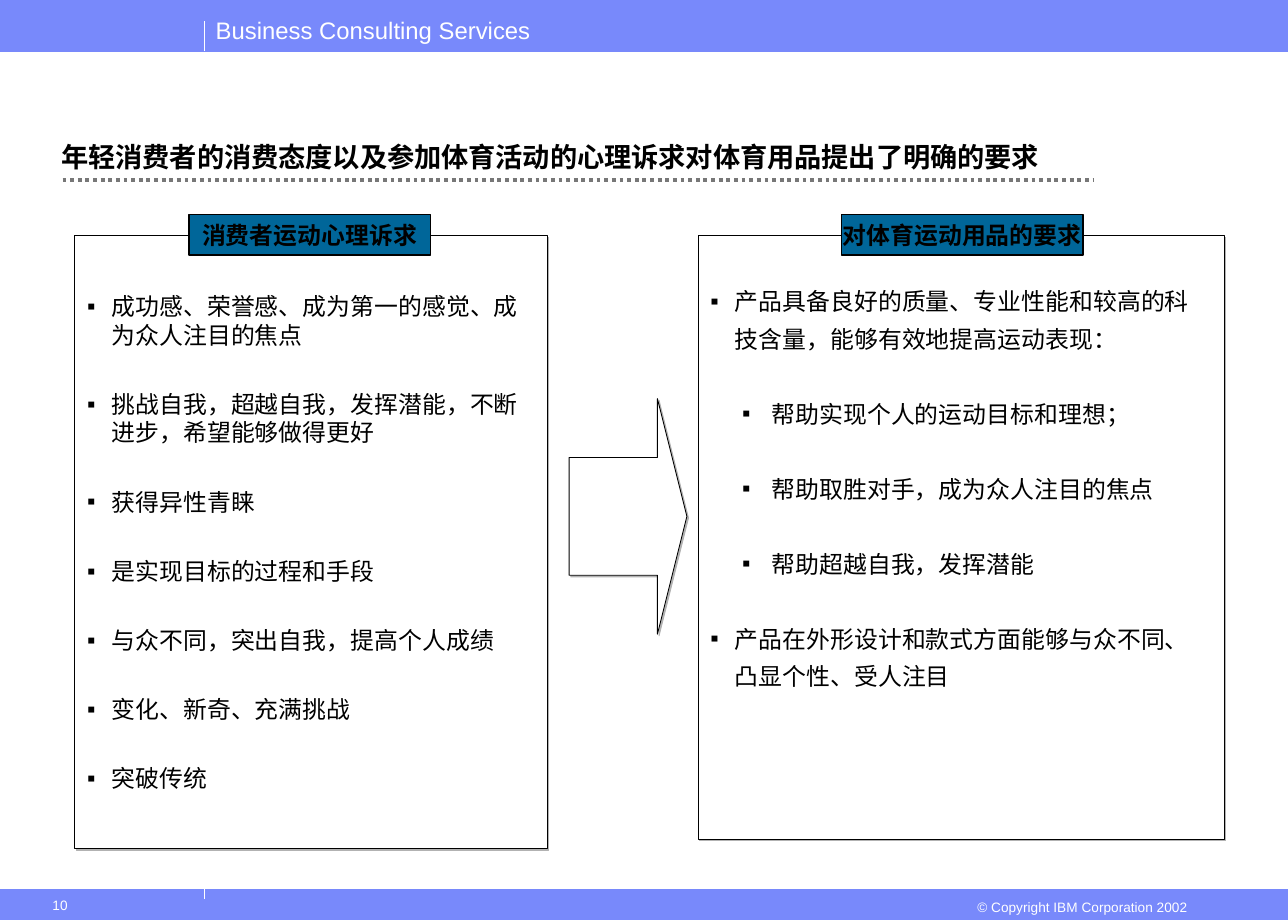
"""Build the slide on what young consumers' attitudes demand of sports goods."""
import dataclasses
import typing

import lxml.etree
import pptx
import pptx.dml.color
import pptx.enum.dml
import pptx.enum.shapes
import pptx.enum.text
import pptx.oxml.ns
import pptx.util

Inches = pptx.util.Inches
Pt = pptx.util.Pt
RGBColor = pptx.dml.color.RGBColor
Align = pptx.enum.text.PP_ALIGN
Anchor = pptx.enum.text.MSO_ANCHOR
Shapes = pptx.enum.shapes.MSO_SHAPE
qn = pptx.oxml.ns.qn

BLACK = RGBColor(0x00, 0x00, 0x00)
WHITE = RGBColor(0xFF, 0xFF, 0xFF)
GREY = RGBColor(0x77, 0x77, 0x77)
BAND_BLUE = RGBColor(0x78, 0x89, 0xFB)
TAG_BLUE = RGBColor(0x00, 0x66, 0x99)
SHADOW_GREY = RGBColor(0xB2, 0xB2, 0xB2)

TAG_WIDTH, TAG_HEIGHT, TAG_TOP = 1.97, 0.33, 1.75


class Area(typing.NamedTuple):
    left: float
    top: float
    width: float
    height: float

    def lengths(self) -> list:
        return [Inches(value) for value in self]


@dataclasses.dataclass
class Item:
    text: str
    level: int = 0
    font: str = "Arial"


@dataclasses.dataclass
class Panel:
    area: Area
    tag: str
    tag_left: float
    items: list[Item]
    frame: dict
    line_spacing: float
    gap: float


@dataclasses.dataclass
class Label:
    area: Area
    text: str
    size: float
    align: Align = Align.LEFT
    wrap: bool = True


@dataclasses.dataclass
class Rule:
    start: tuple[float, float]
    end: tuple[float, float]
    color: RGBColor = WHITE
    width: float = 0.75
    dotted: bool = False


PANELS = [
    Panel(Area(0.61, 1.92, 3.85, 5), "消费者运动心理诉求", 1.54, [
        Item("成功感、荣誉感、成为第一的感觉、成为众人注目的焦点"),
        Item("挑战自我，超越自我，发挥潜能，不断进步，希望能够做得更好"),
        Item("获得异性青睐"),
        Item("是实现目标的过程和手段"),
        Item("与众不同，突出自我，提高个人成绩", font="Times New Roman"),
        Item("变化、新奇、充满挑战", font="Times New Roman"),
        Item("突破传统", font="Times New Roman"),
    ], {"vertical_anchor": Anchor.MIDDLE}, 1.0, 23.8),
    Panel(Area(5.69, 1.92, 4.29, 4.92), "对体育运动用品的要求", 6.86, [
        Item("产品具备良好的质量、专业性能和较高的科技含量，能够有效地提高运动表现："),
        Item("帮助实现个人的运动目标和理想；", level=1),
        Item("帮助取胜对手，成为众人注目的焦点", level=1),
        Item("帮助超越自我，发挥潜能", level=1),
        Item("产品在外形设计和款式方面能够与众不同、凸显个性、受人注目"),
    ], {"vertical_anchor": Anchor.TOP, "margin_top": Inches(0.35),
        "margin_right": Inches(0.12)}, 1.3, 22.2),
]
BANDS = [Area(0, 7.25, 10.5, 0.25), Area(0, 0, 10.5, 0.42)]
RULES = [
    Rule((0.51, 1.47), (8.92, 1.47), GREY, 2.25, True),
    Rule((1.67, 0.42), (1.67, 0.17)),
    Rule((1.67, 7.33), (1.67, 7.08)),
]
LABELS = [
    Label(Area(1.66, 0.08, 2.77, 0.34), "Business Consulting Services", 14, wrap=False),
    Label(Area(7.83, 7.28, 1.95, 0.24), "© Copyright IBM Corporation 2002", 8, Align.RIGHT),
    Label(Area(0.33, 7.26, 1.33, 0.24), "10", 8),
]
INDENTS = [(0.2, -0.2), (0.5, -0.24)]


def apply(target: typing.Any, values: dict) -> None:
    for name, value in values.items():
        setattr(target, name, value)


def write(para, text: str, size: float, color: RGBColor,
          bold: bool = False, font: str = "Arial") -> None:
    span = para.add_run()
    span.text = text
    apply(span.font, {"size": Pt(size), "name": font, "bold": bold})
    span.font.color.rgb = color


def place(shape, area: Area) -> None:
    apply(shape, dict(zip(("left", "top", "width", "height"), area.lengths())))


def paint(shape, fill: RGBColor, line: RGBColor, width: float) -> None:
    shape.fill.solid()
    shape.fill.fore_color.rgb = fill
    shape.line.color.rgb = line
    shape.line.width = Pt(width)
    shape.shadow.inherit = False


def cast_shadow(shape) -> None:
    effects = shape._element.spPr.find(qn("a:effectLst"))
    shadow = lxml.etree.SubElement(
        effects, qn("a:outerShdw"), dist=str(Pt(1.4)), dir="2700000", algn="ctr", rotWithShape="0")
    lxml.etree.SubElement(shadow, qn("a:srgbClr"), val=str(SHADOW_GREY))


def add_bullet(para, level: int) -> None:
    margin, indent = INDENTS[level]
    properties = para._p.get_or_add_pPr()
    properties.set("marL", str(Inches(margin)))
    properties.set("indent", str(Inches(indent)))
    color = lxml.etree.SubElement(properties, qn("a:buClr"))
    lxml.etree.SubElement(color, qn("a:srgbClr"), val=str(BLACK))
    lxml.etree.SubElement(properties, qn("a:buFont"), typeface="Arial")
    lxml.etree.SubElement(properties, qn("a:buChar"), char="▪")


def draw_box(page, kind: Shapes, area: Area, fill: RGBColor, line: RGBColor, width: float):
    box = page.shapes.add_shape(kind, *area.lengths())
    paint(box, fill, line, width)
    return box


def draw_rule(page, rule: Rule) -> None:
    ends = [Inches(value) for value in rule.start + rule.end]
    line = page.shapes.add_connector(pptx.enum.shapes.MSO_CONNECTOR.STRAIGHT, *ends)
    line.line.color.rgb = rule.color
    line.line.width = Pt(rule.width)
    if rule.dotted:
        line.line.dash_style = pptx.enum.dml.MSO_LINE.ROUND_DOT
    lxml.etree.SubElement(line._element.spPr, qn("a:effectLst"))


def draw_label(page, label: Label) -> None:
    box = page.shapes.add_textbox(*label.area.lengths())
    box.text_frame.word_wrap = label.wrap
    para = box.text_frame.paragraphs[0]
    para.alignment = label.align
    write(para, label.text, label.size, WHITE)


def fill_title(title, text: str) -> None:
    place(title, Area(0.4, 0.54, 9.63, 0.92))
    apply(title.text_frame, {"vertical_anchor": Anchor.BOTTOM, "word_wrap": True,
                             "auto_size": pptx.enum.text.MSO_AUTO_SIZE.NONE})
    para = title.text_frame.paragraphs[0]
    para.alignment = Align.LEFT
    write(para, text, 16, BLACK, bold=True)


def draw_panel(page, body, panel: Panel) -> None:
    place(body, panel.area)
    paint(body, WHITE, BLACK, 0.5)
    cast_shadow(body)
    frame = body.text_frame
    apply(frame, {"word_wrap": True, "auto_size": pptx.enum.text.MSO_AUTO_SIZE.NONE, **panel.frame})
    for index, item in enumerate(panel.items):
        para = frame.add_paragraph() if index else frame.paragraphs[0]
        add_bullet(para, item.level)
        apply(para, {"level": item.level, "alignment": Align.LEFT,
                     "line_spacing": panel.line_spacing,
                     "space_before": Pt(panel.gap if index else 0), "space_after": Pt(0)})
        write(para, item.text, 14, BLACK, font=item.font)
    tag = draw_box(page, Shapes.RECTANGLE, Area(panel.tag_left, TAG_TOP, TAG_WIDTH, TAG_HEIGHT),
                   TAG_BLUE, BLACK, 0.75)
    apply(tag.text_frame, {"word_wrap": False, "vertical_anchor": Anchor.MIDDLE})
    para = tag.text_frame.paragraphs[0]
    para.alignment = Align.CENTER
    write(para, panel.tag, 14, BLACK, bold=True)


def main() -> None:
    deck = pptx.Presentation()
    apply(deck, {"slide_width": Inches(10.5), "slide_height": Inches(7.5)})
    page = deck.slides.add_slide(deck.slide_layouts[3])
    title, *bodies = page.placeholders
    fill_title(title, "年轻消费者的消费态度以及参加体育活动的心理诉求对体育用品提出了明确的要求")
    for area in BANDS:
        draw_box(page, Shapes.RECTANGLE, area, BAND_BLUE, BAND_BLUE, 0.75)
    for rule in RULES:
        draw_rule(page, rule)
    for label in LABELS:
        draw_label(page, label)
    for body, panel in zip(bodies, PANELS):
        draw_panel(page, body, panel)
    arrow = draw_box(page, Shapes.RIGHT_ARROW, Area(4.64, 3.25, 0.96, 1.92), WHITE, BLACK, 0.5)
    arrow.adjustments[0], arrow.adjustments[1] = 0.5, 0.25
    cast_shadow(arrow)
    deck.save("out.pptx")


if __name__ == "__main__":
    main()
